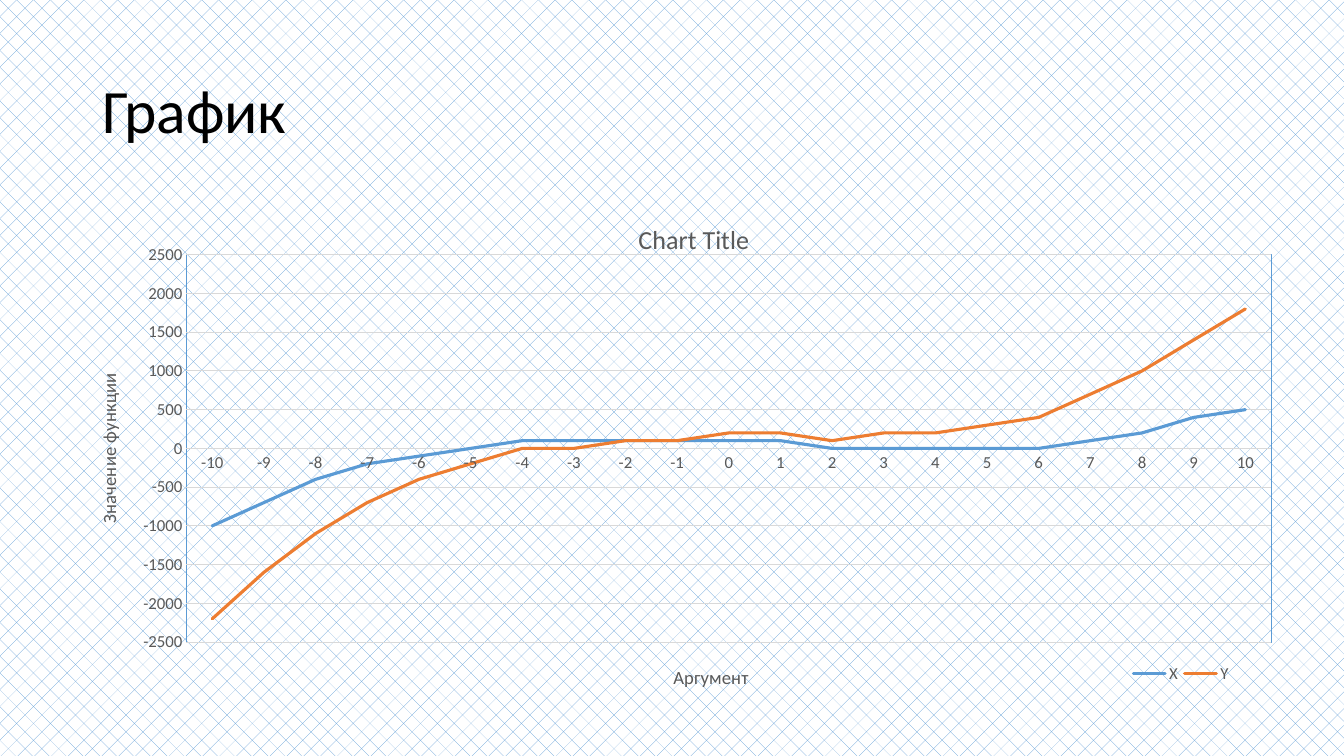
from dataclasses import dataclass

from lxml.etree import SubElement
from pptx import Presentation
from pptx.chart.data import CategoryChartData
from pptx.dml.color import RGBColor
from pptx.enum.chart import XL_CHART_TYPE, XL_LEGEND_POSITION, XL_MARKER_STYLE, XL_TICK_MARK
from pptx.enum.dml import MSO_PATTERN
from pptx.enum.text import MSO_ANCHOR
from pptx.oxml import parse_xml
from pptx.oxml.ns import qn
from pptx.util import Pt


@dataclass(frozen=True)
class Theme:
    font: str = "Calibri"
    black: str = "000000"
    white: str = "FFFFFF"
    gray: str = "595959"
    grid: str = "D9D9D9"
    blue: str = "5B9BD5"
    orange: str = "ED7D31"
    heading: float = 44
    chart_title: float = 18.6
    axis_title: float = 13.3
    label: float = 12
    hairline: float = 0.75
    curve: float = 2.25


@dataclass(frozen=True)
class Curve:
    name: str
    values: tuple[int, ...]
    color: str


THEME = Theme()
ARGUMENTS = range(-10, 11)
CURVES = (
    Curve("Х", (-1000, -700, -400, -200, -100, 0, 100, 100, 100, 100, 100,
                100, 0, 0, 0, 0, 0, 100, 200, 400, 500), THEME.blue),
    Curve("Y", (-1200, -900, -700, -500, -300, -200, -100, -100, 0, 0, 100,
                100, 100, 200, 200, 300, 400, 600, 800, 1000, 1300), THEME.orange),
)


def style_font(font, size: float, color: str = THEME.gray) -> None:
    font.name = THEME.font
    font.size = Pt(size)
    font.bold = False
    font.color.rgb = RGBColor.from_string(color)


def style_line(line, color: str, width: float) -> None:
    line.color.rgb = RGBColor.from_string(color)
    line.width = Pt(width)


def place(element, after: str | None = None, target: str | None = None, **fractions: float) -> None:
    layout = element.find(qn("c:layout"))
    if layout is None:
        layout = element.makeelement(qn("c:layout"))
        position = 0 if after is None else element.index(element.find(qn(after))) + 1
        element.insert(position, layout)
    for child in list(layout):
        layout.remove(child)
    manual = SubElement(layout, qn("c:manualLayout"))
    if target:
        SubElement(manual, qn("c:layoutTarget")).set("val", target)
    for key in ("x", "y"):
        SubElement(manual, qn(f"c:{key}Mode")).set("val", "edge")
    for key, value in fractions.items():
        SubElement(manual, qn(f"c:{key}")).set("val", str(value))


def add_title(owner, text: str, size: float, x: float, y: float) -> None:
    owner.has_title = True
    title = owner.chart_title if hasattr(owner, "chart_title") else owner.axis_title
    para = title.text_frame.paragraphs[0]
    span = para.add_run()
    span.text = text
    style_font(span.font, size)
    place(title._element, after="c:tx", x=x, y=y)


def style_axis(axis) -> None:
    axis.major_tick_mark = XL_TICK_MARK.NONE
    axis.minor_tick_mark = XL_TICK_MARK.NONE
    style_font(axis.tick_labels.font, THEME.label)


def add_heading(page, text: str) -> None:
    box = page.shapes.add_textbox(Pt(66), Pt(28.8), Pt(828), Pt(104.4))
    frame = box.text_frame
    frame.word_wrap = True
    frame.vertical_anchor = MSO_ANCHOR.MIDDLE
    para = frame.paragraphs[0]
    para.line_spacing = 0.9
    span = para.add_run()
    span.text = text
    style_font(span.font, THEME.heading, THEME.black)


def add_graph(page, curves: tuple[Curve, ...]) -> None:
    data = CategoryChartData()
    data.categories = [str(argument) for argument in ARGUMENTS]
    for curve in curves:
        data.add_series(curve.name, curve.values)
    chart = page.shapes.add_chart(
        XL_CHART_TYPE.LINE_STACKED, Pt(66.2), Pt(143.7), Pt(859), Pt(365), data).chart
    style_font(chart.font, THEME.label)
    add_title(chart, "Chart Title", THEME.chart_title, 0.45, 0.03)

    arguments, values = chart.category_axis, chart.value_axis
    for axis in (arguments, values):
        style_axis(axis)
    add_title(arguments, "Аргумент", THEME.axis_title, 0.48, 0.9)
    add_title(values, "Значение функции", THEME.axis_title, 0, 0.33)
    turn = values.axis_title.text_frame._txBody.bodyPr
    turn.set("rot", "-5400000")
    turn.set("vert", "horz")
    style_line(arguments.format.line, THEME.grid, THEME.hairline)
    values.format.line.fill.background()
    values.minimum_scale, values.maximum_scale, values.major_unit = -2500, 2500, 500
    values.has_major_gridlines = True
    style_line(values.major_gridlines.format.line, THEME.grid, THEME.hairline)

    plot = chart.plots[0]
    plot.vary_by_categories = False
    for series, curve in zip(plot.series, curves):
        series.smooth = False
        series.marker.style = XL_MARKER_STYLE.NONE
        style_line(series.format.line, curve.color, THEME.curve)
        series.format.line._ln.set("cap", "rnd")

    area = chart._chartSpace.chart.plotArea
    place(area, target="inner", x=0.078, y=0.105, w=0.902, h=0.758)
    area.append(parse_xml(
        '<c:spPr xmlns:c="http://schemas.openxmlformats.org/drawingml/2006/chart" '
        'xmlns:a="http://schemas.openxmlformats.org/drawingml/2006/main"><a:noFill/>'
        f'<a:ln w="{Pt(THEME.hairline)}"><a:solidFill><a:srgbClr val="{THEME.blue}"/>'
        '</a:solidFill></a:ln></c:spPr>'))

    chart.has_legend = True
    legend = chart.legend
    legend.position = XL_LEGEND_POSITION.BOTTOM
    legend.include_in_layout = False
    style_font(legend.font, THEME.label)
    place(legend._element, after="c:legendPos", x=0.86, y=0.9, w=0.09, h=0.05)


def main() -> None:
    deck = Presentation()
    deck.slide_width, deck.slide_height = Pt(960), Pt(540)
    page = deck.slides.add_slide(deck.slide_layouts[6])
    fill = page.background.fill
    fill.patterned()
    fill.pattern = MSO_PATTERN.DOTTED_DIAMOND
    fill.fore_color.rgb = RGBColor.from_string(THEME.blue)
    fill.back_color.rgb = RGBColor.from_string(THEME.white)
    add_heading(page, "График")
    add_graph(page, CURVES)
    deck.save("out.pptx")


main()
